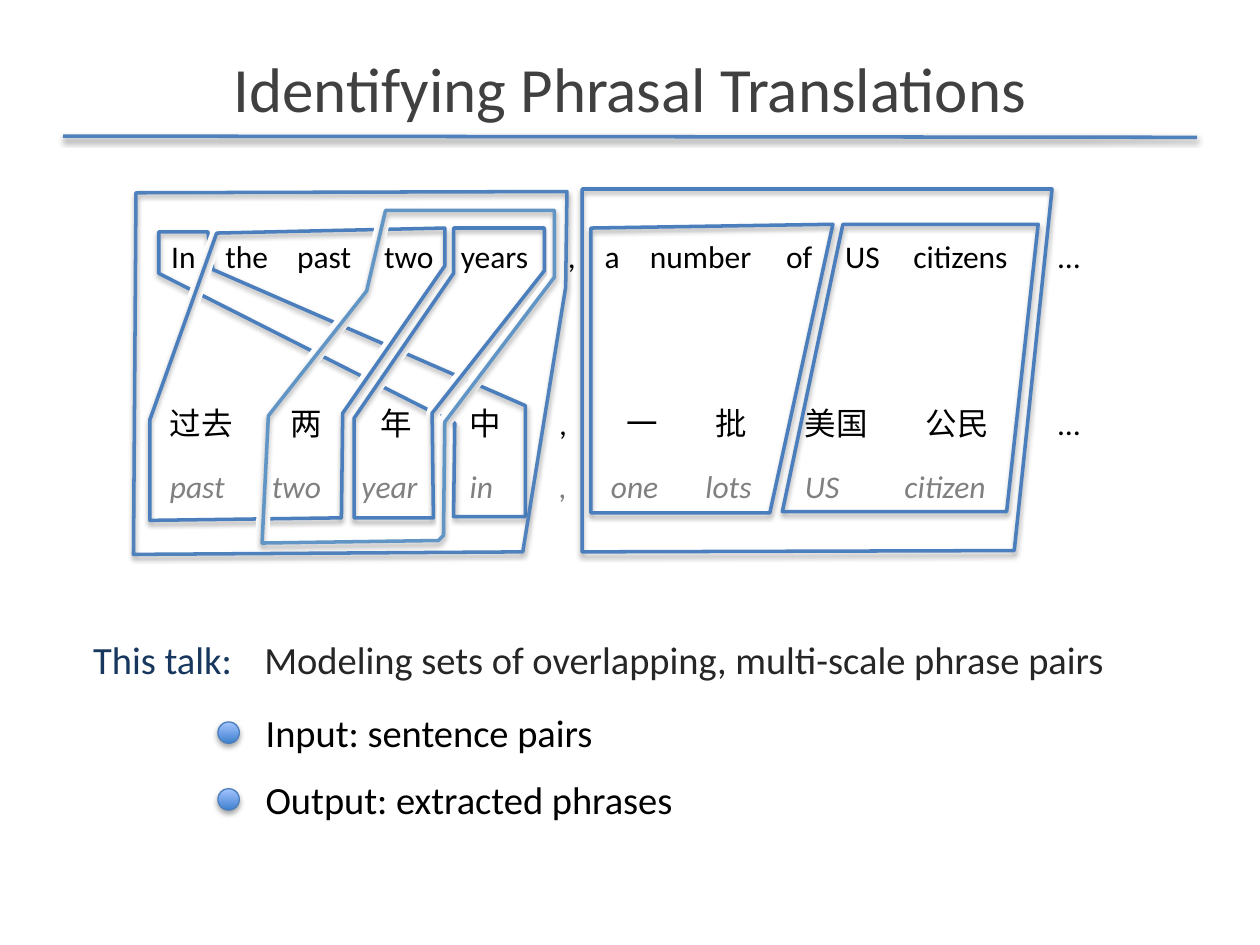
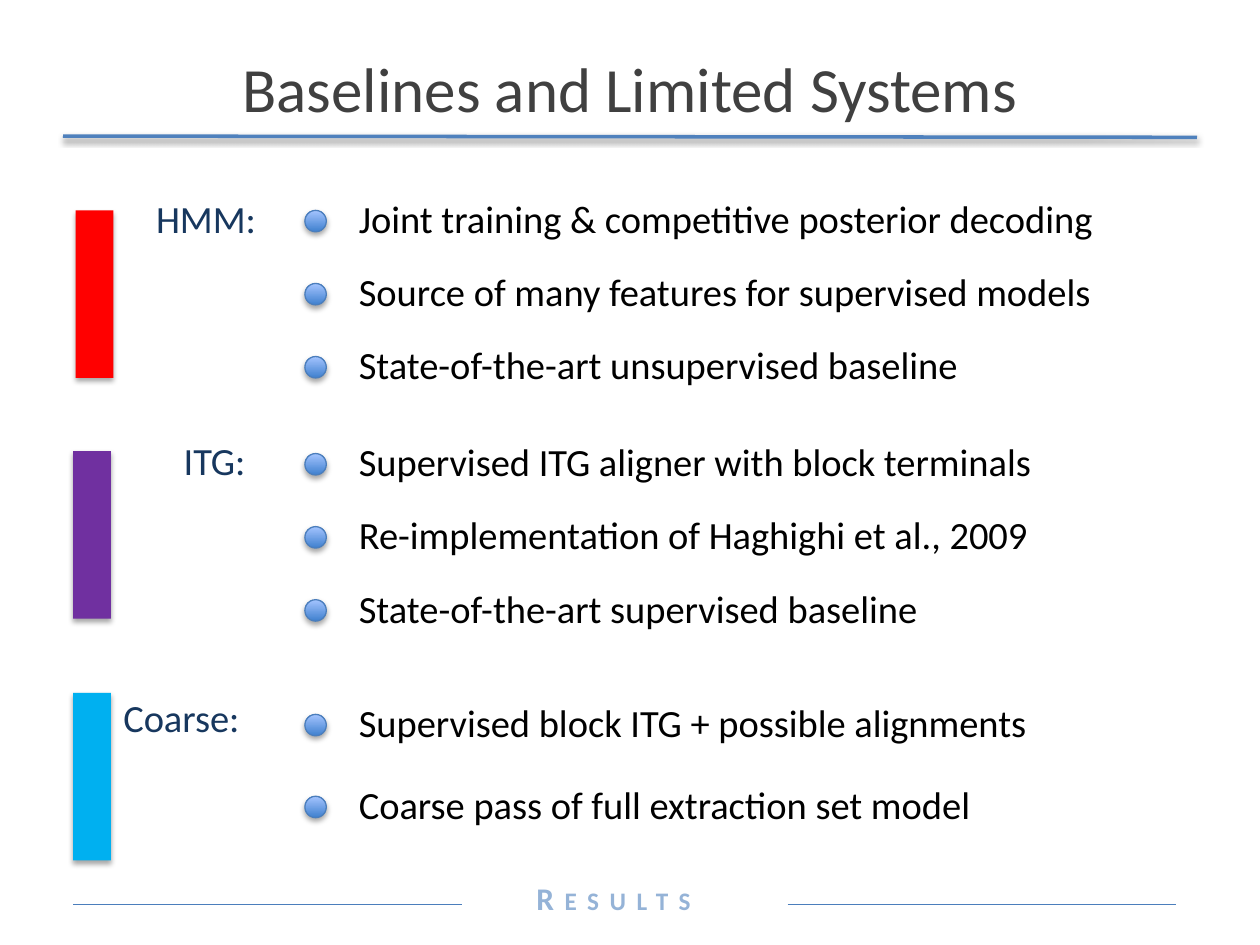
"""Build two slides on phrasal translations and baseline systems."""
from typing import NamedTuple

from lxml.etree import SubElement
from pptx import Presentation
from pptx.dml.color import RGBColor
from pptx.enum.shapes import MSO_CONNECTOR as CONN, MSO_SHAPE as SHAPE
from pptx.enum.text import MSO_ANCHOR as ANCHOR, MSO_AUTO_SIZE as AUTO, PP_ALIGN as ALIGN
from pptx.oxml.ns import qn
from pptx.util import Emu, Pt

PX = 9144
FONT = "Calibri"
BLACK, WHITE, GREY = "000000", "FFFFFF", "808080"
TITLE, LABEL, BODY, FOOTER = "404040", "17375E", "262626", "95B3D7"
BLUE, RULE, SKY = "4B7EBC", "4F81BD", "6195C5"
DOT_LOW, DOT_HIGH = "3F80CE", "A4C4FF"
LINE_H, WORD_H, DOT, BAR_W, BAR_H = 47, 40, 17, 30, 133

Points = list[tuple[int, int]]


class Word(NamedTuple):
    text: str
    left: int
    width: int


class Row(NamedTuple):
    top: int
    color: str
    italic: bool
    words: list[Word]


class Outline(NamedTuple):
    points: Points
    color: str = BLUE


class Item(NamedTuple):
    text: str
    width: int


class System(NamedTuple):
    label: Word
    label_top: int
    bar_left: int
    bar_top: int
    color: str
    items_top: int
    step: int
    items: list[Item]


ROWS = [
    Row(183, BLACK, False, [
        Word("In", 126, 41), Word("the", 169, 55), Word("past", 226, 68),
        Word("two", 295, 59), Word("years", 356, 83), Word(",", 441, 27),
        Word("a", 470, 34), Word("number", 506, 106), Word("of", 614, 43),
        Word("US", 661, 55), Word("citizens", 715, 104), Word("…", 830, 45)]),
    Row(316, BLACK, False, [
        Word("过去", 125, 71), Word("两", 221, 45), Word("年", 292, 45),
        Word("中", 363, 45), Word(",", 434, 27), Word("一", 487, 45),
        Word("批", 558, 45), Word("美国", 629, 71), Word("公民", 725, 71),
        Word("…", 830, 45)]),
    Row(366, GREY, True, [
        Word("past", 125, 74), Word("two", 206, 60), Word("year", 277, 75),
        Word("in", 363, 46), Word(",", 434, 33), Word("one", 475, 68),
        Word("lots", 550, 65), Word("US", 629, 61), Word("citizen", 708, 98)]),
]

IN = Outline([(165, 184), (126, 184), (126, 217), (361, 336), (360, 410),
              (417, 410), (417, 322), (169, 214)])
PAST_TWO = Outline([(172, 185), (119, 333), (119, 413), (271, 411), (272, 328),
                    (353, 211), (353, 181)])
YEARS = Outline([(360, 181), (360, 217), (281, 332), (281, 411), (344, 411),
                 (343, 328), (432, 215), (432, 181)])
A_NUMBER_OF = Outline([(469, 181), (469, 407), (611, 407), (661, 178)])
US_CITIZENS = Outline([(669, 178), (621, 406), (799, 406), (824, 178)])
TWO_YEARS = Outline([(306, 167), (291, 231), (213, 330), (208, 431), (348, 429),
                     (352, 425), (353, 335), (440, 220), (440, 167)], SKY)
LEFT_PHRASE = Outline([(450, 152), (449, 228), (415, 438), (106, 440), (108, 153)], RULE)
RIGHT_PHRASE = Outline([(462, 150), (462, 438), (805, 437), (835, 150)])

SYSTEMS = [
    System(Word("HMM:", 114, 102), 150, 60, 167, "FF0000", 150, 58, [
        Item("Joint training & competitive posterior decoding", 660),
        Item("Source of many features for supervised models", 667),
        Item("State-of-the-art unsupervised baseline", 543)]),
    System(Word("ITG:", 136, 80), 342, 58, 358, "7030A0", 343, 58, [
        Item("Supervised ITG aligner with block terminals", 614),
        Item("Re-implementation of Haghighi et al., 2009", 605),
        Item("State-of-the-art supervised baseline", 509)]),
    System(Word("Coarse:", 88, 128), 546, 58, 550, "00B0F0", 550, 65, [
        Item("Supervised block ITG + possible alignments", 621),
        Item("Coarse pass of full extraction set model", 560)]),
]


def px(n: int) -> Emu:
    """Turn pixels into EMU."""
    return Emu(n * PX)


def rgb(color: str) -> RGBColor:
    """Turn a hex string into a colour."""
    return RGBColor.from_string(color)


def add_shadow(sp, opacity: int = 35, dist: float = 1.8) -> None:
    """Give a shape or connector a soft shadow straight below it."""
    effects = SubElement(sp._element.spPr, qn("a:effectLst"))
    shadow = SubElement(effects, qn("a:outerShdw"), blurRad=str(Pt(3.1)),
                        dist=str(Pt(dist)), dir="5400000", rotWithShape="0")
    color = SubElement(shadow, qn("a:srgbClr"), val=BLACK)
    SubElement(color, qn("a:alpha"), val=str(opacity * 1000))


def set_line(sp, color: str, width: float) -> None:
    """Set the colour and the width in points of a line."""
    sp.line.color.rgb = rgb(color)
    sp.line.width = Pt(width)


def add_text(slide, text: str, left: int, top: int, width: int, height: int = LINE_H,
             size: int = 22, color: str = BLACK, align=ALIGN.LEFT, italic: bool = False):
    """Add a one-line text box and return its run."""
    tf = slide.shapes.add_textbox(px(left), px(top), px(width), px(height)).text_frame
    tf.word_wrap = False
    tf.auto_size = AUTO.SHAPE_TO_FIT_TEXT
    p = tf.paragraphs[0]
    p.alignment = align
    r = p.add_run()
    r.text = text
    r.font.name = FONT
    r.font.size = Pt(size)
    r.font.italic = italic
    r.font.color.rgb = rgb(color)
    return r


def add_line(slide, x1: int, y1: int, x2: int, y2: int, color: str, width: float):
    """Add a straight line."""
    sp = slide.shapes.add_connector(CONN.STRAIGHT, px(x1), px(y1), px(x2), px(y2))
    set_line(sp, color, width)
    return sp


def add_outline(slide, points: Points, color: str, width: int):
    """Add a closed unfilled outline."""
    builder = slide.shapes.build_freeform(*points[0], scale=PX)
    builder.add_line_segments(points[1:], close=True)
    sp = builder.convert_to_shape()
    sp.fill.background()
    set_line(sp, color, width)
    return sp


def add_halo(slide, outline: Outline, dx: int = 0, dy: int = 0) -> None:
    """Add a wide white outline that parts crossing phrases."""
    sp = add_outline(slide, [(x + dx, y + dy) for x, y in outline.points], WHITE, 8)
    sp.shadow.inherit = False


def add_phrase(slide, outline: Outline) -> None:
    """Add the shadowed outline of a phrase pair."""
    add_shadow(add_outline(slide, outline.points, outline.color, 2))


def add_item(slide, item: Item, left: int, top: int, indent: int, drop: int) -> None:
    """Add a glossy dot and the text beside it."""
    add_text(slide, item.text, left, top, item.width)
    sp = slide.shapes.add_shape(SHAPE.OVAL, px(left - indent), px(top + drop), px(DOT), px(DOT))
    sp.fill.gradient()
    sp.fill.gradient_angle = 90
    for stop, color in zip(sp.fill.gradient_stops, (DOT_LOW, DOT_HIGH)):
        stop.color.rgb = rgb(color)
    set_line(sp, BLUE, 0.75)
    add_shadow(sp)


def add_bar(slide, system: System) -> None:
    """Add the colour bar of a system."""
    sp = slide.shapes.add_shape(SHAPE.RECTANGLE, px(system.bar_left), px(system.bar_top),
                                px(BAR_W), px(BAR_H))
    sp.fill.solid()
    sp.fill.fore_color.rgb = rgb(system.color)
    sp.line.fill.background()
    add_shadow(sp)


def add_slide(prs, title: str):
    """Add a blank slide with the title and its rule."""
    slide = prs.slides.add_slide(prs.slide_layouts[6])
    add_shadow(add_line(slide, 50, 108, 950, 109, RULE, 2), 38, 1.6)
    add_text(slide, title, 75, 30, 850, 78, 36, TITLE, ALIGN.CENTER)
    tf = slide.shapes[-1].text_frame
    tf.auto_size = AUTO.NONE
    tf.word_wrap = True
    tf.vertical_anchor = ANCHOR.MIDDLE
    return slide


def add_footer(slide, text: str) -> None:
    """Add a spaced small-caps section name between two lines."""
    r = add_text(slide, text, 416, 693, 167, WORD_H, 18, FOOTER, ALIGN.CENTER)
    r.font.bold = True
    rPr = r.font._element
    rPr.set("cap", "small")
    rPr.set("spc", "600")
    for x1, x2 in ((58, 367), (625, 933)):
        SubElement(add_line(slide, x1, 718, x2, 718, BLUE, 0.75)._element.spPr,
                   qn("a:effectLst"))


def build_phrases(prs) -> None:
    """Build the slide with the aligned sentence pair."""
    slide = add_slide(prs, "Identifying Phrasal Translations")
    add_text(slide, "This talk:", 50, 500, 144, color=LABEL, align=ALIGN.RIGHT)
    add_text(slide, "Modeling sets of overlapping, multi-scale phrase pairs",
             200, 500, 775, color=BODY)
    add_phrase(slide, IN)
    for outline in (PAST_TWO, YEARS):
        add_halo(slide, outline, 1, -1)
    for row in ROWS:
        for word in row.words:
            add_text(slide, word.text, word.left, row.top, word.width, WORD_H, 18,
                     row.color, italic=row.italic)
    for outline in (PAST_TWO, YEARS, A_NUMBER_OF, US_CITIZENS):
        add_phrase(slide, outline)
    add_halo(slide, TWO_YEARS)
    for outline in (TWO_YEARS, LEFT_PHRASE, RIGHT_PHRASE):
        add_phrase(slide, outline)
    items = [Item("Input: sentence pairs", 282), Item("Output: extracted phrases", 347)]
    for i, item in enumerate(items):
        add_item(slide, item, 201, 558 + 53 * i, 28, 15)


def build_systems(prs) -> None:
    """Build the slide that lists the compared systems."""
    slide = add_slide(prs, "Baselines and Limited Systems")
    add_footer(slide, "Results")
    for system in SYSTEMS:
        label = system.label
        add_text(slide, label.text, label.left, system.label_top, label.width, color=LABEL)
        for i, item in enumerate(system.items):
            add_item(slide, item, 275, system.items_top + system.step * i, 33, 17)
        add_bar(slide, system)


def main() -> None:
    """Build and save the presentation."""
    prs = Presentation()
    prs.slide_width, prs.slide_height = px(1000), px(750)
    build_phrases(prs)
    build_systems(prs)
    prs.save("out.pptx")


if __name__ == "__main__":
    main()
